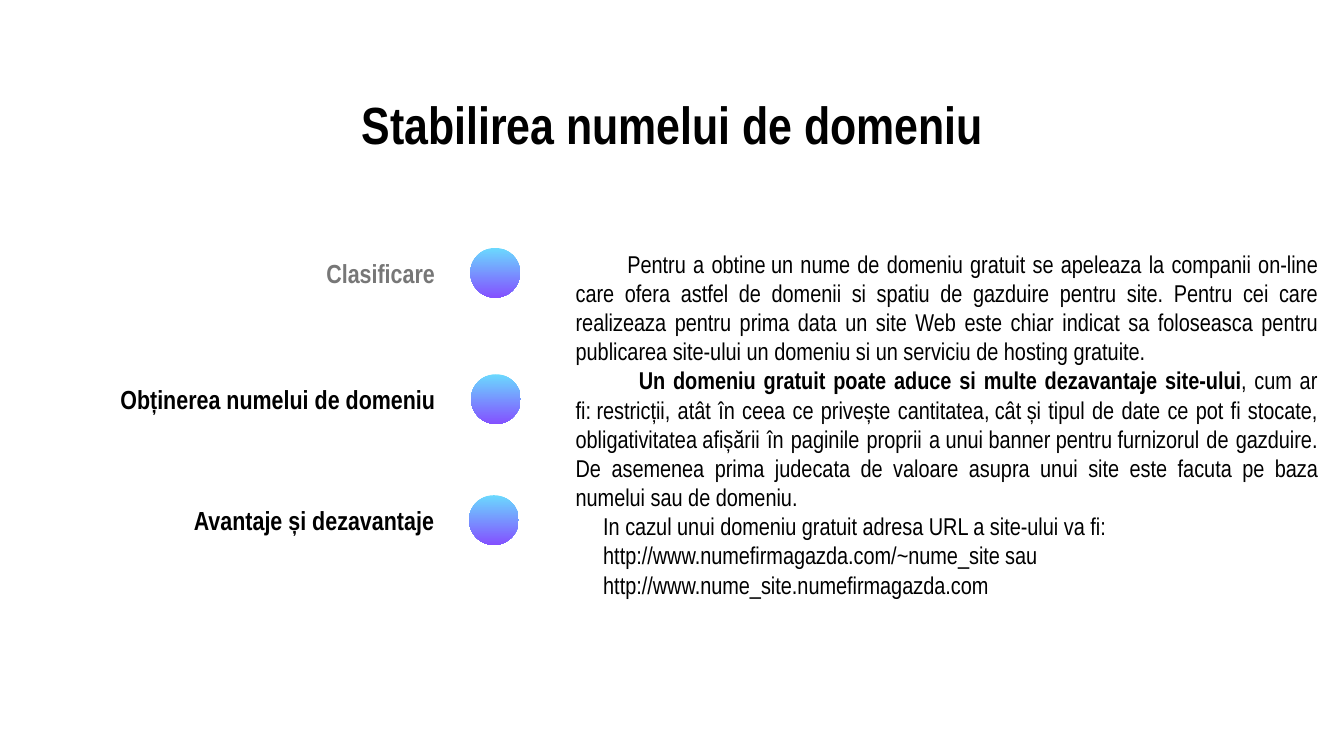
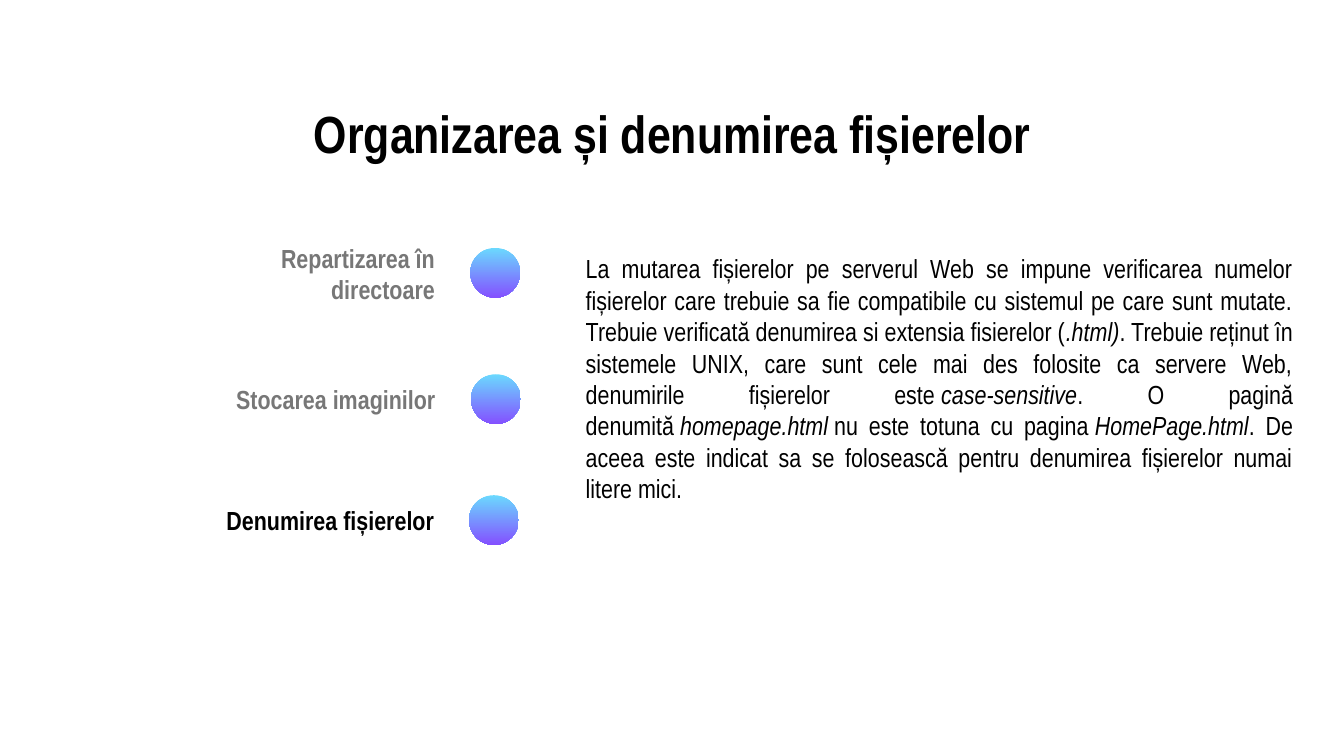
"""Build two slides that list topics beside gradient dots and explain one of them."""
from dataclasses import dataclass

import pptx
import pptx.dml.color
import pptx.enum.shapes
import pptx.enum.text
import pptx.util

RGBColor = pptx.dml.color.RGBColor
ALIGN = pptx.enum.text.PP_ALIGN
ANCHOR = pptx.enum.text.MSO_ANCHOR

PX = 4572
WIDTH, HEIGHT = 2000, 1125
BLACK = RGBColor(0x00, 0x00, 0x00)
GRAY = RGBColor(0x77, 0x77, 0x77)
WHITE = RGBColor(0xFF, 0xFF, 0xFF)
DOT_COLORS = (RGBColor(0x6B, 0xD9, 0xFE), RGBColor(0x84, 0x50, 0xFF))
DOT = 74
INSET = 20
NBSP = chr(160)
TITLE_FONT = {"name": "Arial Narrow", "size": pptx.util.Pt(28), "bold": True}
LABEL_FONT = {"name": "Arial Narrow", "size": pptx.util.Pt(14), "bold": True}


@dataclass(frozen=True)
class Box:
    """Place and size in px."""
    left: int
    top: int
    width: int
    height: int

    def emu(self) -> tuple:
        """Return the four lengths in EMU."""
        return tuple(v * PX for v in (self.left, self.top, self.width, self.height))


@dataclass(frozen=True)
class Run:
    """Stretch of text with one style."""
    text: str
    bold: bool = False
    italic: bool = False


@dataclass(frozen=True)
class Para:
    """Runs of one paragraph and its first-line indent in px."""
    runs: tuple
    indent: int = 0


@dataclass(frozen=True)
class Row:
    """Places of one label and its dot."""
    label: Box
    dot: Box


@dataclass(frozen=True)
class Topic:
    """Label text and its colour."""
    text: str
    color: RGBColor


@dataclass(frozen=True)
class Page:
    """Content of one slide."""
    title: str
    title_top: int
    topics: tuple
    body: Box
    body_size: int
    paras: tuple


ROWS = (
    Row(Box(366, 370, 301, DOT), Box(700, 369, DOT, DOT)),
    Row(Box(80, 557, 588, DOT), Box(701, 557, DOT, DOT)),
    Row(Box(246, 737, 420, DOT), Box(698, 737, DOT, DOT)),
)

PAGES = (
    Page(
        "Stabilirea numelui de domeniu", 118,
        (Topic("Clasificare", GRAY),
         Topic("Obținerea numelui de domeniu", BLACK),
         Topic("Avantaje și dezavantaje", BLACK)),
        Box(837, 341, 1143, 580), 13,
        (Para((Run(
            f"Pentru a obtine{NBSP}un nume de domeniu gratuit se apeleaza la companii "
            "on-line care ofera astfel de domenii si spatiu de gazduire pentru site. "
            "Pentru cei care realizeaza pentru prima data un site Web este chiar indicat "
            "sa foloseasca pentru publicarea site-ului un domeniu si un serviciu de "
            "hosting gratuite."),), 77),
         Para((
             Run("Un domeniu gratuit poate aduce si multe dezavantaje site-ului", bold=True),
             Run(f", cum ar fi:{NBSP}restricții, atât în ceea ce privește cantitatea,{NBSP}"
                 f"cât{NBSP}și tipul de date ce pot fi stocate, obligativitatea{NBSP}"
                 f"afișării în paginile proprii a{NBSP}unui{NBSP}banner{NBSP}pentru{NBSP}"
                 "furnizorul de gazduire. De asemenea prima judecata de valoare asupra "
                 "unui site este facuta pe baza numelui sau de domeniu.")), 94),
         Para((Run("In cazul unui domeniu gratuit adresa URL a site-ului va fi:"),), 41),
         Para((Run(f"http://www.numefirmagazda.com/~nume_site{NBSP}sau"),), 41),
         Para((Run("http://www.nume_site.numefirmagazda.com"),), 41)),
    ),
    Page(
        "Organizarea și denumirea fișierelor", 131,
        (Topic("Repartizarea în directoare", GRAY),
         Topic("Stocarea imaginilor", GRAY),
         Topic("Denumirea fișierelor", BLACK)),
        Box(852, 362, 1092, 402), 14,
        (Para((
            Run("La mutarea fișierelor pe serverul Web se impune verificarea numelor "
                "fișierelor care trebuie sa fie compatibile cu sistemul pe care sunt "
                "mutate. Trebuie verificată denumirea si extensia fisierelor ("),
            Run(".html)", italic=True),
            Run(". Trebuie reținut în sistemele UNIX, care sunt cele mai des folosite ca "
                f"servere Web, denumirile fișierelor este{NBSP}"),
            Run("case-sensitive", italic=True),
            Run(f". O pagină denumită{NBSP}"),
            Run("homepage.html", italic=True),
            Run(f"{NBSP}nu este totuna cu pagina{NBSP}"),
            Run("HomePage.html", italic=True),
            Run(". De aceea este indicat sa se folosească pentru denumirea fișierelor "
                "numai litere mici."))),),
    ),
)


def set_all(target: object, values: dict) -> None:
    """Set each named attribute on the target."""
    for name, value in values.items():
        setattr(target, name, value)


def add_text(s: pptx.slide.Slide, box: Box, paras: tuple, font: dict, color: RGBColor,
             align: ALIGN, anchor: ANCHOR = ANCHOR.MIDDLE) -> None:
    """Add a wrapped text box holding the paragraphs."""
    tf = s.shapes.add_textbox(*box.emu()).text_frame
    set_all(tf, {"word_wrap": True, "vertical_anchor": anchor})
    set_all(tf, {f"margin_{side}": INSET * PX for side in ("left", "top", "right", "bottom")})
    for i, para in enumerate(paras):
        p = tf.add_paragraph() if i else tf.paragraphs[0]
        p.alignment = align
        if para.indent:
            pPr = p._p.get_or_add_pPr()
            pPr.set("marL", "0")
            pPr.set("indent", str(para.indent * PX))
        for run in para.runs:
            r = p.add_run()
            r.text = run.text
            set_all(r.font, {"bold": run.bold, "italic": run.italic, **font})
            r.font.color.rgb = color


def add_dot(s: pptx.slide.Slide, box: Box) -> None:
    """Add a circle shaded from top to bottom."""
    sp = s.shapes.add_shape(pptx.enum.shapes.MSO_SHAPE.OVAL, *box.emu())
    sp.shadow.inherit = False
    sp.line.fill.background()
    sp.fill.gradient()
    sp.fill.gradient_angle = 270
    for stop, color in zip(sp.fill.gradient_stops, DOT_COLORS):
        stop.color.rgb = color


def add_page(prs: pptx.presentation.Presentation, page: Page) -> None:
    """Add one slide with its title, topics and explanation."""
    s = prs.slides.add_slide(prs.slide_layouts[6])
    s.background.fill.solid()
    s.background.fill.fore_color.rgb = WHITE
    add_text(s, Box(400, page.title_top, 1200, 126), (Para((Run(page.title),)),),
             TITLE_FONT, BLACK, ALIGN.CENTER, ANCHOR.TOP)
    for row, topic in zip(ROWS, page.topics):
        add_dot(s, row.dot)
        add_text(s, row.label, (Para((Run(topic.text),)),), LABEL_FONT, topic.color, ALIGN.RIGHT)
    body_font = {"name": "Arial Narrow", "size": pptx.util.Pt(page.body_size)}
    add_text(s, page.body, page.paras, body_font, BLACK, ALIGN.JUSTIFY)


def main() -> None:
    """Build and save the presentation."""
    prs = pptx.Presentation()
    set_all(prs, {"slide_width": WIDTH * PX, "slide_height": HEIGHT * PX})
    for page in PAGES:
        add_page(prs, page)
    prs.save("out.pptx")


if __name__ == "__main__":
    main()
